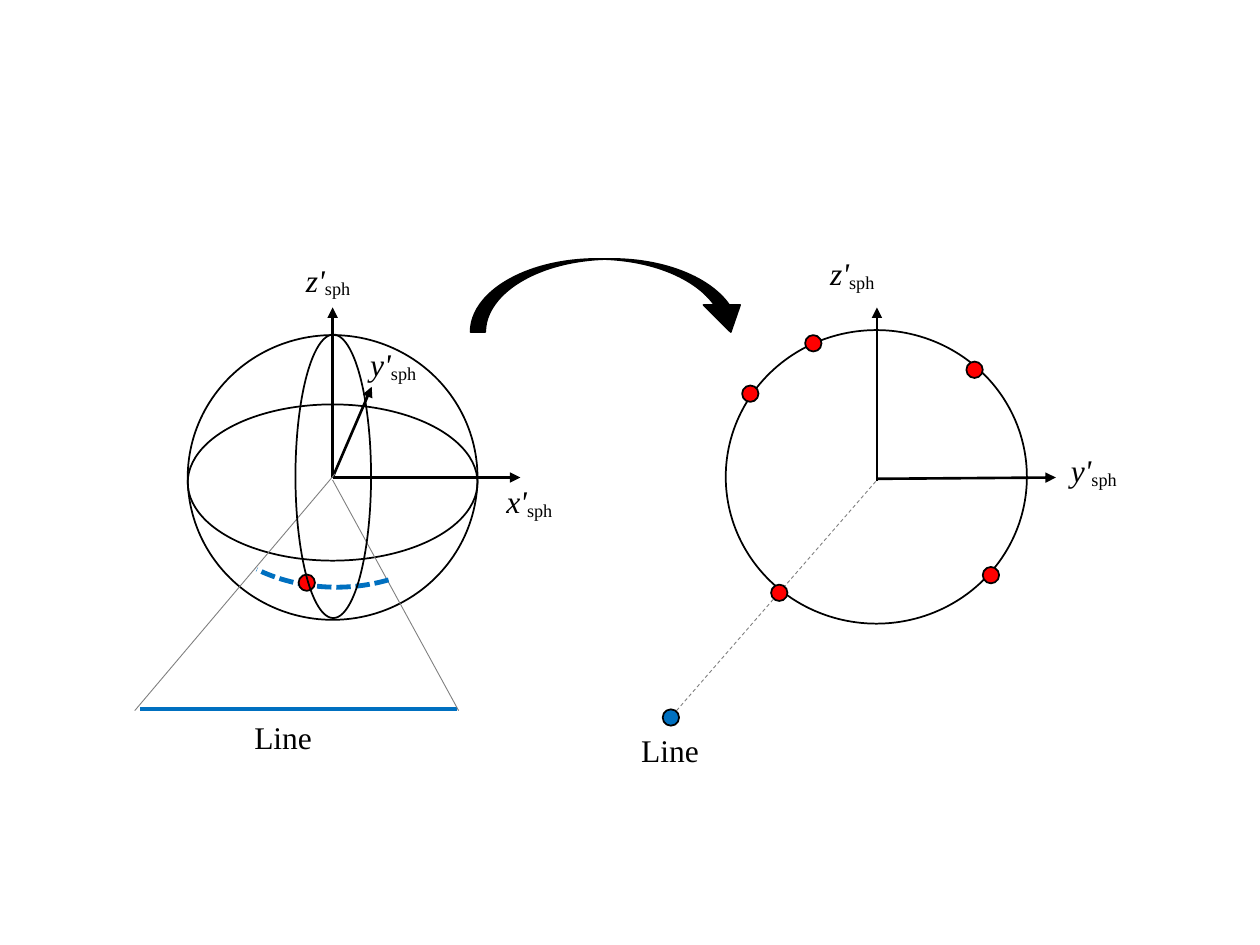
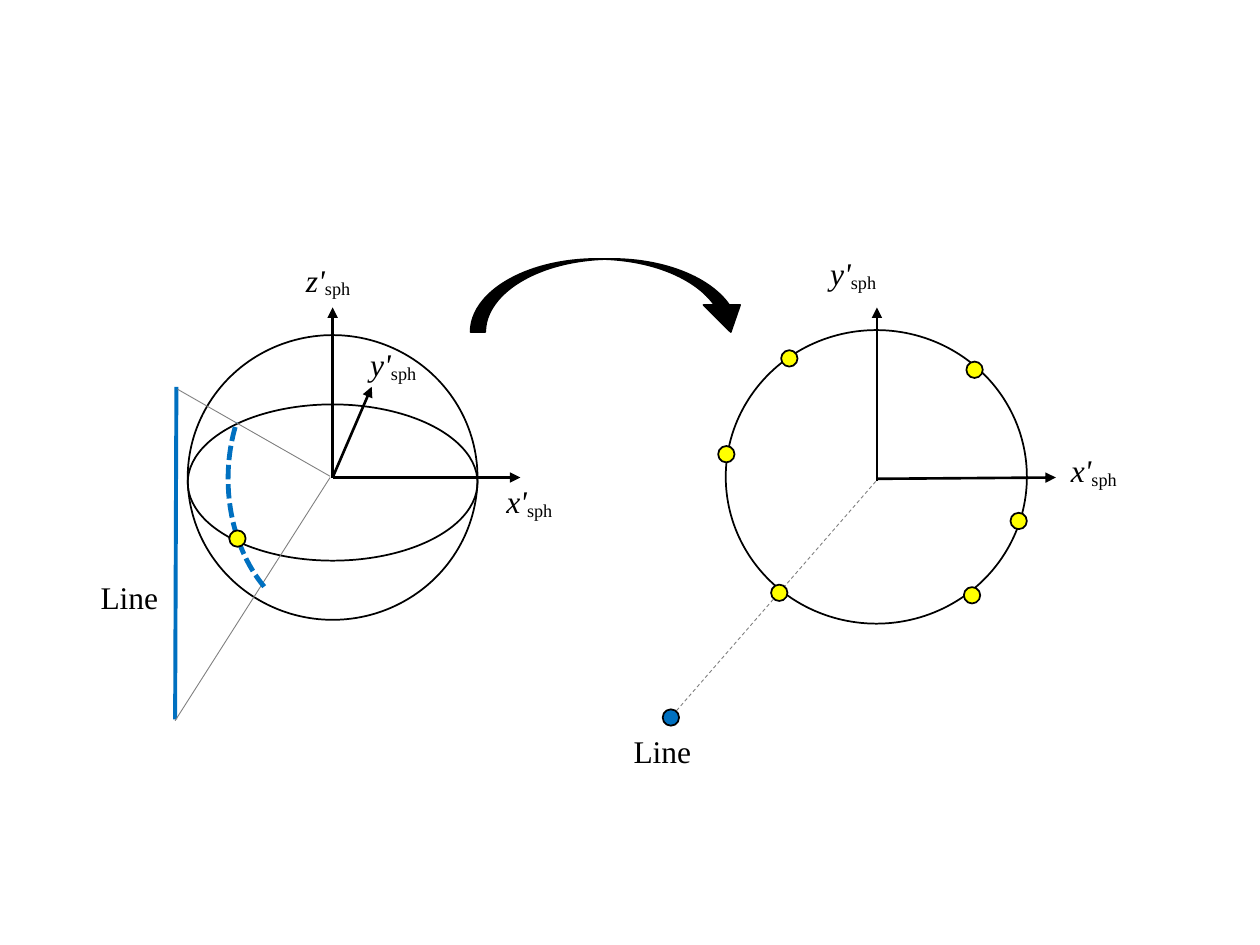
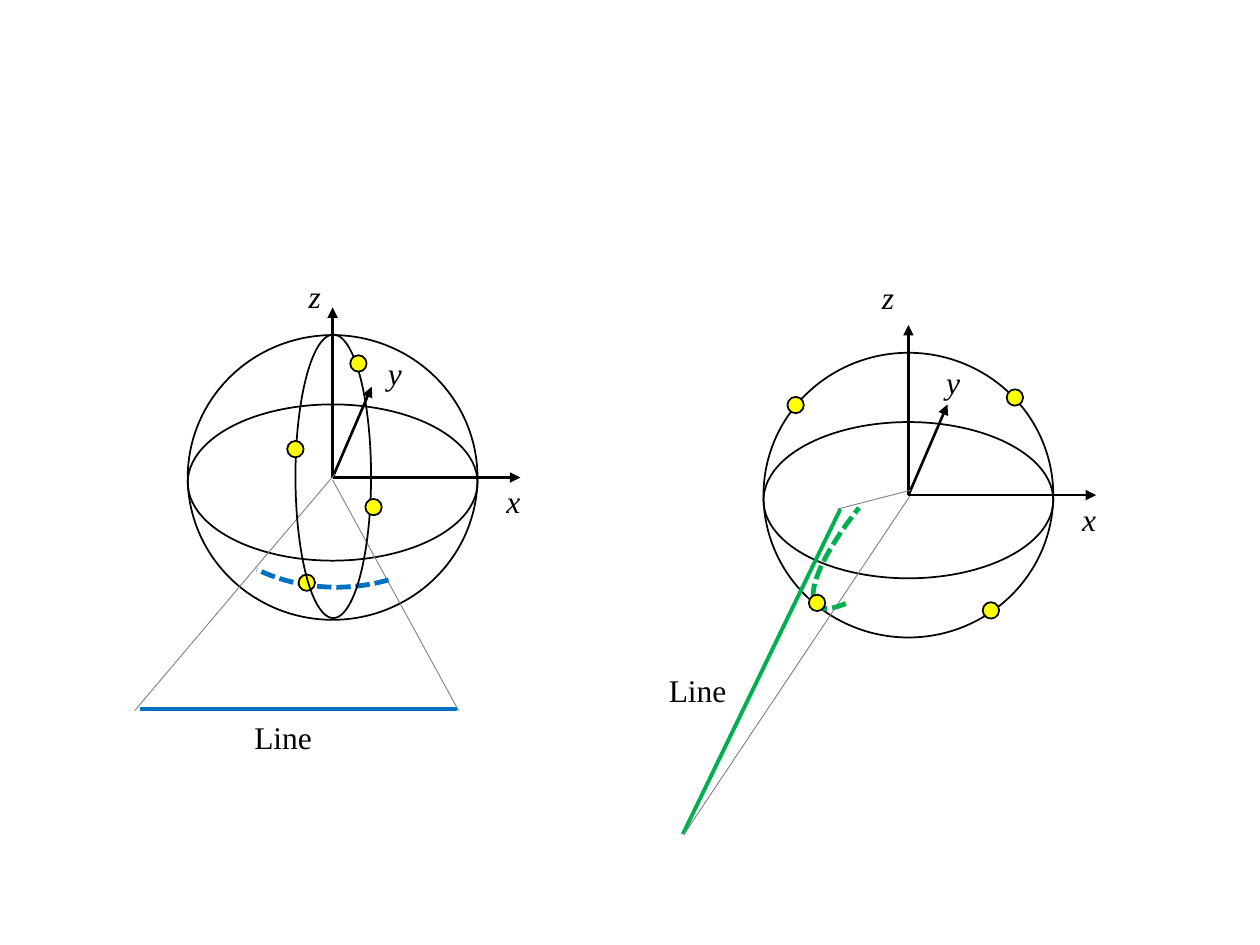
from dataclasses import dataclass

from lxml import etree
from pptx import Presentation
from pptx.dml.color import RGBColor
from pptx.enum.dml import MSO_LINE
from pptx.enum.shapes import MSO_CONNECTOR, MSO_SHAPE
from pptx.enum.text import MSO_AUTO_SIZE
from pptx.oxml.ns import qn
from pptx.slide import Slide
from pptx.util import Inches, Pt

BLACK = RGBColor(0x00, 0x00, 0x00)
GREY = RGBColor(0x80, 0x80, 0x80)
BLUE = RGBColor(0x00, 0x70, 0xC0)
GREEN = RGBColor(0x00, 0xB0, 0x50)
RED = RGBColor(0xFF, 0x00, 0x00)
YELLOW = RGBColor(0xFF, 0xFF, 0x00)

ELLIPSE = MSO_SHAPE.OVAL
ARC = MSO_SHAPE.ARC
CURVED_ARROW = MSO_SHAPE.CURVED_LEFT_ARROW
STRAIGHT = MSO_CONNECTOR.STRAIGHT
DASH = MSO_LINE.DASH
SHORT_DASH = MSO_LINE.SQUARE_DOT

FONT = "Times New Roman"
DOT_SIZE = 0.13
LABEL_HEIGHT = 0.4
BLANK_LAYOUT = 6

LEFT_SPHERE = (1.49, 2.66)
RIGHT_SPHERE = (6.06, 2.8)
CIRCLE = (5.76, 2.62)
AXIS_LABEL_SPOTS = ((2.43, 1.12), (1.35, 0.03), (0.84, -0.64))
PRIMED_AXES = ("x'", "y'", "z'")
PLAIN_AXES = ("x", "y", "z")


@dataclass
class Region:
    """Part of a page; all positions are inches from its top left corner."""
    page: Slide
    left: float
    top: float

    def place(self, x, y):
        return Inches(self.left + x), Inches(self.top + y)

    def shape(self, kind, x, y, width, height, fill=None, colour=BLACK,
              weight=1, rotation=0, adjustments=()):
        shape = self.page.shapes.add_shape(
            kind, *self.place(x, y), Inches(width), Inches(height))
        shape.shadow.inherit = False
        shape.rotation = rotation
        if fill is None:
            shape.fill.background()
        else:
            shape.fill.solid()
            shape.fill.fore_color.rgb = fill
        shape.line.color.rgb = colour
        shape.line.width = Pt(weight)
        for index, value in enumerate(adjustments):
            shape.adjustments[index] = value
        return shape

    def dot(self, spot, fill):
        self.shape(ELLIPSE, *spot, DOT_SIZE, DOT_SIZE, fill)

    def segment(self, start, end, colour, weight, dash=None):
        segment = self.page.shapes.add_connector(
            STRAIGHT, *self.place(*start), *self.place(*end))
        segment.line.color.rgb = colour
        segment.line.width = Pt(weight)
        if dash is not None:
            segment.line.dash_style = dash
        etree.SubElement(segment._element.spPr, qn("a:effectLst"))
        return segment

    def axis(self, start, end):
        axis = self.segment(start, end, BLACK, 1.5)
        etree.SubElement(axis.line._get_or_add_ln(), qn("a:tailEnd"), type="triangle")

    def label(self, spot, text, width):
        box = self.page.shapes.add_textbox(
            *self.place(*spot), Inches(width), Inches(LABEL_HEIGHT))
        frame = box.text_frame
        frame.word_wrap = False
        frame.auto_size = MSO_AUTO_SIZE.SHAPE_TO_FIT_TEXT
        frame.text = text
        para = frame.paragraphs[0]
        para.font.name = FONT
        format_span(para.runs[0])
        return para

    def line_label(self, spot):
        self.label(spot, "Line", 0.66)

    def axis_label(self, spot, name):
        primed = name.endswith("'")
        para = self.label(spot, name, 0.6 if primed else 0.31)
        para.runs[0].font.italic = True
        if primed:
            span = para.add_run()
            span.text = "sph"
            format_span(span)
            span.font._element.set("baseline", "-12000")


def format_span(span):
    span.font.name = FONT
    span.font.size = Pt(18)
    span.font.color.rgb = BLACK


def draw_sphere(region, names, label_spots=AXIS_LABEL_SPOTS):
    region.shape(ELLIPSE, 0, 0, 2.3, 2.26)
    region.shape(ELLIPSE, 0, 0.55, 2.3, 1.24)
    for end in ((2.64, 1.13), (1.46, 0.41), (1.15, -0.22)):
        region.axis((1.15, 1.13), end)
    for spot, name in zip(label_spots, names):
        region.axis_label(spot, name)


def draw_projection(region, colour, line, rays, arc, rotation, sweep, dot, dot_fill, label):
    """Draw a line in space, its rays to the centre and its arc on the sphere."""
    region.segment(*line, colour, 2.25)
    for ray in rays:
        region.segment(*ray, GREY, 0.5)
    curve = region.shape(ARC, *arc, colour=colour, weight=2.75,
                         rotation=rotation, adjustments=sweep)
    curve.line.dash_style = SHORT_DASH
    region.dot(dot, dot_fill)
    region.line_label(label)


def draw_line_below(region, dot_fill):
    draw_projection(
        region, BLUE, line=((2.14, 2.97), (-0.38, 2.97)),
        rays=(((-0.42, 2.98), (1.17, 1.1)), ((2.15, 2.98), (1.15, 1.15))),
        arc=(0.03, 0.28, 2.3, 1.72), rotation=0, sweep=(37.62, 78.76),
        dot=(0.88, 1.9), dot_fill=dot_fill, label=(0.43, 2.99))
    region.shape(ELLIPSE, 0.03, 0.82, 2.25, 0.6, rotation=90)


def draw_line_beside(region):
    draw_projection(
        region, BLUE, line=((-0.09, 0.41), (-0.1, 3.05)),
        rays=(((-0.1, 3.06), (1.13, 1.13)), ((1.13, 1.12), (-0.08, 0.43))),
        arc=(0.03, 0.28, 2.3, 1.72), rotation=90, sweep=(20.29, 71.67),
        dot=(0.33, 1.55), dot_fill=YELLOW, label=(-0.79, 1.88))


def draw_line_in_depth(region):
    draw_projection(
        region, GREEN, line=((0.61, 1.24), (-0.64, 3.82)),
        rays=(((0.59, 1.24), (1.17, 1.09)), ((-0.63, 3.82), (1.16, 1.14))),
        arc=(0.9, 0.04, 0.6, 2.27), rotation=223.1, sweep=(156.49, 185.94),
        dot=(0.36, 1.92), dot_fill=YELLOW, label=(-0.85, 2.48))


def draw_circle(region, across, up, dots, dot_fill, label):
    """Draw the flat view of the sphere, with the line seen as a point."""
    region.segment((-0.39, 3.02), (1.2, 1.19), GREY, 0.5, DASH)
    region.shape(ELLIPSE, 0, 0, 2.39, 2.33)
    region.axis((1.2, 1.18), (2.62, 1.17))
    region.axis((1.2, 1.2), (1.2, -0.18))
    region.dot((-0.5, 3.01), BLUE)
    region.axis_label((2.64, 0.91), across)
    region.axis_label((0.73, -0.65), up)
    region.line_label(label)
    for spot in ((0.36, 2.02), *dots):
        region.dot(spot, dot_fill)


def draw_turn_arrow(page):
    Region(page, 4.55, 1.24).shape(
        CURVED_ARROW, 0, 0, 0.58, 2.21, BLACK,
        rotation=270, adjustments=(0.2, 0.5, 0.37))


def build_vertical_circle(page):
    sphere = Region(page, *LEFT_SPHERE)
    draw_sphere(sphere, PRIMED_AXES)
    draw_line_below(sphere, RED)
    dots = ((0.63, 0.04), (1.91, 0.25), (0.13, 0.44), (2.04, 1.88))
    draw_circle(Region(page, *CIRCLE), "y'", "z'", dots, RED, (-0.77, 3.13))
    draw_turn_arrow(page)


def build_horizontal_circle(page):
    sphere = Region(page, *LEFT_SPHERE)
    draw_sphere(sphere, PRIMED_AXES)
    draw_line_beside(sphere)
    dots = ((0.44, 0.16), (1.91, 0.25), (1.89, 2.04), (-0.06, 0.92), (2.26, 1.45))
    draw_circle(Region(page, *CIRCLE), "x'", "y'", dots, YELLOW, (-0.83, 3.14))
    draw_turn_arrow(page)


def build_two_spheres(page):
    left = Region(page, *LEFT_SPHERE)
    draw_sphere(left, PLAIN_AXES, ((2.43, 1.12), (1.49, 0.1), (0.86, -0.51)))
    draw_line_below(left, YELLOW)
    for spot in ((0.79, 0.84), (1.29, 0.16), (1.41, 1.3)):
        left.dot(spot, YELLOW)

    right = Region(page, *RIGHT_SPHERE)
    draw_sphere(right, PLAIN_AXES)
    draw_line_in_depth(right)
    for spot in ((0.19, 0.35), (1.93, 0.29), (1.74, 1.98)):
        right.dot(spot, YELLOW)


def main():
    deck = Presentation()
    deck.slide_width = Inches(10)
    deck.slide_height = Inches(7.5)
    for build in (build_vertical_circle, build_horizontal_circle, build_two_spheres):
        build(deck.slides.add_slide(deck.slide_layouts[BLANK_LAYOUT]))
    deck.save("out.pptx")


if __name__ == "__main__":
    main()
